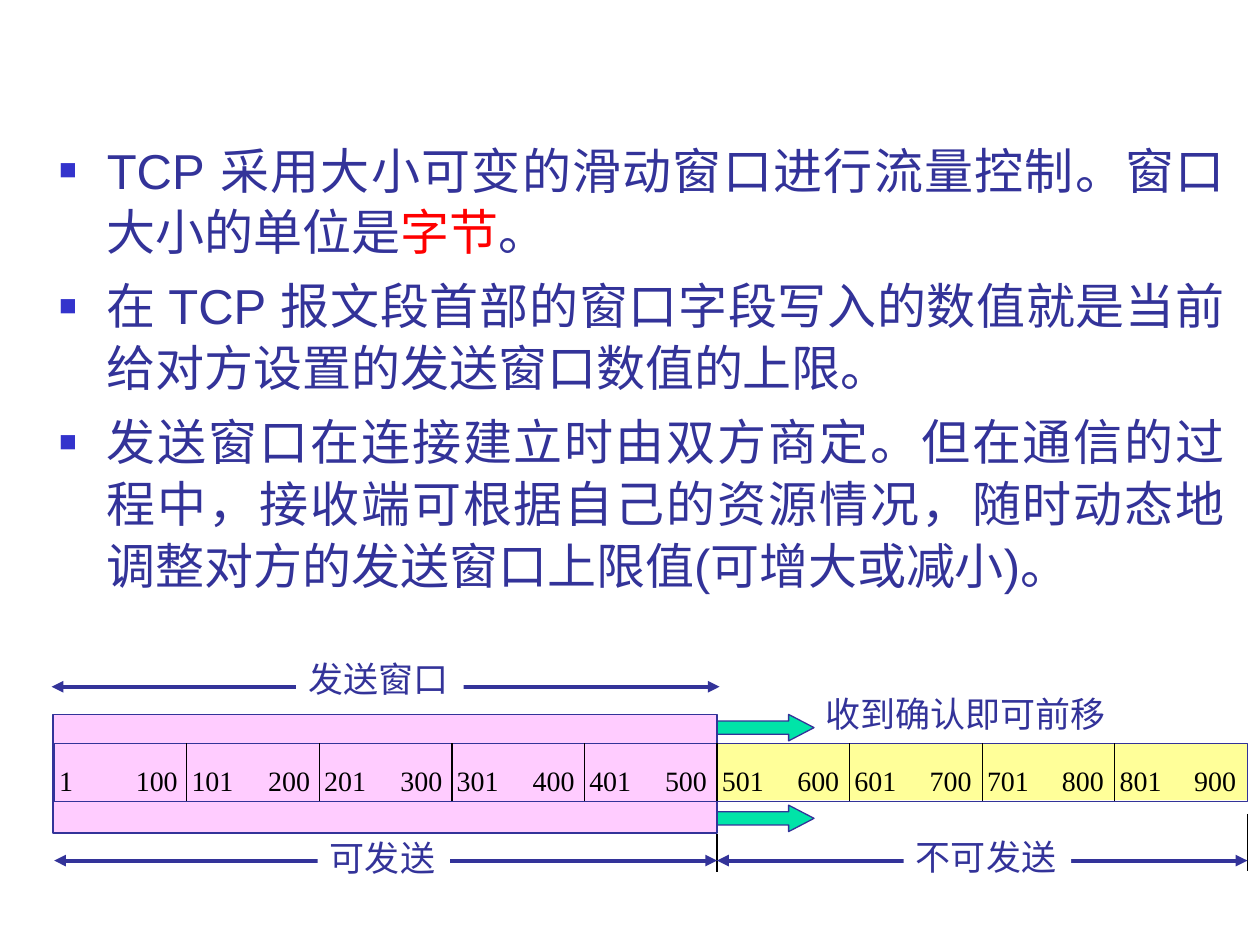
from lxml import etree
from pptx import Presentation
from pptx.dml.color import RGBColor
from pptx.enum import shapes, text
from pptx.oxml import ns
from pptx.util import Inches, Pt

COLORS = {
    "ink": "333399", "bullet": "3333CC", "accent": "FF0000", "black": "000000",
    "white": "FFFFFF", "window": "FFCCFF", "blocked": "FFFF99", "arrow": "00E4A8",
}
CJK = "Noto Sans CJK SC"
POINTS = [
    [("TCP 采用大小可变的滑动窗口进行流量控制。窗口大小的单位是", "ink"),
     ("字节", "accent"), ("。", "ink")],
    [("在 TCP 报文段首部的窗口字段写入的数值就是当前给对方设置的发送窗口数值的上限。", "ink")],
    [("发送窗口在连接建立时由双方商定。但在通信的过程中，接收端可根据自己的资源情况，"
      "随时动态地调整对方的发送窗口上限值(可增大或减小)。", "ink")],
]
CELLS, SENDABLE, STEP = 9, 5, 100


def rgb(name):
    return RGBColor.from_string(COLORS[name])


def sub(parent, tag, **attributes):
    return etree.SubElement(parent, ns.qn(tag), attributes)


def style_run(run, size, font, color):
    run.font.size = Pt(size)
    run.font.name = font
    run.font.color.rgb = rgb(color)
    sub(run._r.get_or_add_rPr(), "a:ea", typeface=CJK)


def add_bullet(paragraph):
    props = paragraph._p.get_or_add_pPr()
    props.set("marL", str(Inches(0.38)))
    props.set("indent", str(-Inches(0.38)))
    sub(sub(props, "a:buClr"), "a:srgbClr", val=COLORS["bullet"])
    sub(props, "a:buSzPct", val="60000")
    sub(props, "a:buFont", typeface="Arial")
    sub(props, "a:buChar", char="■")


def add_points(slide, left, top, width, height):
    frame = slide.shapes.add_textbox(
        Inches(left), Inches(top), Inches(width), Inches(height)).text_frame
    frame.word_wrap = True
    for index, parts in enumerate(POINTS):
        paragraph = frame.add_paragraph() if index else frame.paragraphs[0]
        add_bullet(paragraph)
        paragraph.alignment = text.PP_ALIGN.JUSTIFY
        paragraph.line_spacing = 1.05
        paragraph.space_before = Pt(7 if index else 0)
        for wording, color in parts:
            run = paragraph.add_run()
            run.text = wording
            style_run(run, 28, "Arial", color)


def add_block(group, kind, left, top, width, height, fill=None, line=None, weight=0.75):
    block = group.shapes.add_shape(
        kind, Inches(left), Inches(top), Inches(width), Inches(height))
    block.shadow.inherit = False
    if fill:
        block.fill.solid()
        block.fill.fore_color.rgb = rgb(fill)
    else:
        block.fill.background()
    if line:
        block.line.color.rgb = rgb(line)
        block.line.width = Pt(weight)
    else:
        block.line.fill.background()
    return block


def add_label(group, wording, left, top, width, height, size=20, font=CJK,
              color="ink", spacing=None, fill=None):
    label = group.shapes.add_textbox(
        Inches(left), Inches(top), Inches(width), Inches(height))
    if fill:
        label.fill.solid()
        label.fill.fore_color.rgb = rgb(fill)
    frame = label.text_frame
    frame.word_wrap = False
    frame.auto_size = text.MSO_AUTO_SIZE.SHAPE_TO_FIT_TEXT
    frame.text = wording
    paragraph = frame.paragraphs[0]
    paragraph.line_spacing = spacing
    style_run(paragraph.runs[0], size, font, color)


def add_line(group, x1, y1, x2, y2, color="black", weight=0.75, arrows=False):
    line = group.shapes.add_connector(
        shapes.MSO_CONNECTOR.STRAIGHT, Inches(x1), Inches(y1), Inches(x2), Inches(y2))
    line.line.color.rgb = rgb(color)
    line.line.width = Pt(weight)
    if arrows:
        for end in ("a:headEnd", "a:tailEnd"):
            sub(line.line._get_or_add_ln(), end, type="triangle")
    sub(line._element.spPr, "a:effectLst")


def add_span(group, x1, x2, y, wording, left, top, width, height, spacing=None):
    """Draw a double-headed span, interrupted by its label."""
    add_line(group, x1, y, x2, y, "ink", 2.25, arrows=True)
    add_label(group, wording, left, top, width, height, spacing=spacing, fill="white")


def add_byte_row(group, left, top, width, height):
    """Draw the numbered cells of the byte sequence."""
    rect = shapes.MSO_SHAPE.RECTANGLE
    cell = width / CELLS
    add_block(group, rect, left, top, width, height, line="ink")
    for index in range(CELLS):
        x = left + index * cell
        if index:
            add_line(group, x, top, x, top + height)
        first = index * STEP + 1
        numbers = [(first, left - 0.06 + index * cell, 0.53 if index else 0.31),
                   (first + STEP - 1, left + 0.55 + index * 1.05, 0.53)]
        for number, number_left, number_width in numbers:
            add_label(group, str(number), number_left, top + 0.11, number_width, 0.37,
                      16, "Times New Roman", "black")


def add_window_diagram(slide, left, top, width):
    group = slide.shapes.add_group_shape()
    kinds = shapes.MSO_SHAPE
    right = left + width
    edge = left + width * SENDABLE / CELLS
    row_top = top + 0.73

    add_block(group, kinds.RECTANGLE, edge, row_top, right - edge, 0.45, "blocked")
    for arrow_top in (top + 1.22, top + 0.5):
        arrow = add_block(group, kinds.RIGHT_ARROW, edge - 0.06, arrow_top, 0.83, 0.21,
                          "arrow", "ink")
        arrow.adjustments[0] = 0.5
        arrow.adjustments[1] = 0.96
    add_label(group, "收到确认即可前移", edge + 0.76, top + 0.33, 2.45, 0.39, spacing=0.85)
    add_block(group, kinds.RECTANGLE, left - 0.01, top + 0.5, edge - left + 0.01, 0.94,
              "window", "ink", 1)
    add_byte_row(group, left, row_top, width, 0.46)

    add_line(group, edge, top + 1.45, edge, top + 1.75)
    add_line(group, right, top + 1.29, right, top + 1.74)
    add_span(group, left - 0.02, edge + 0.02, top + 0.28,
             "发送窗口", left + 1.92, top, 1.33, 0.44)
    add_span(group, left, edge, top + 1.66,
             "可发送", left + 2.09, top + 1.47, 1.05, 0.39, 0.85)
    add_span(group, edge, right, top + 1.66,
             "不可发送", edge + 1.48, top + 1.46, 1.33, 0.39, 0.85)


def main():
    deck = Presentation()
    deck.slide_width, deck.slide_height = Inches(10), Inches(7.5)
    slide = deck.slides.add_slide(deck.slide_layouts[6])
    add_points(slide, 0.37, 1.04, 9.45, 3.76)
    add_window_diagram(slide, 0.43, 5.17, 9.47)
    deck.save("out.pptx")


if __name__ == "__main__":
    main()
